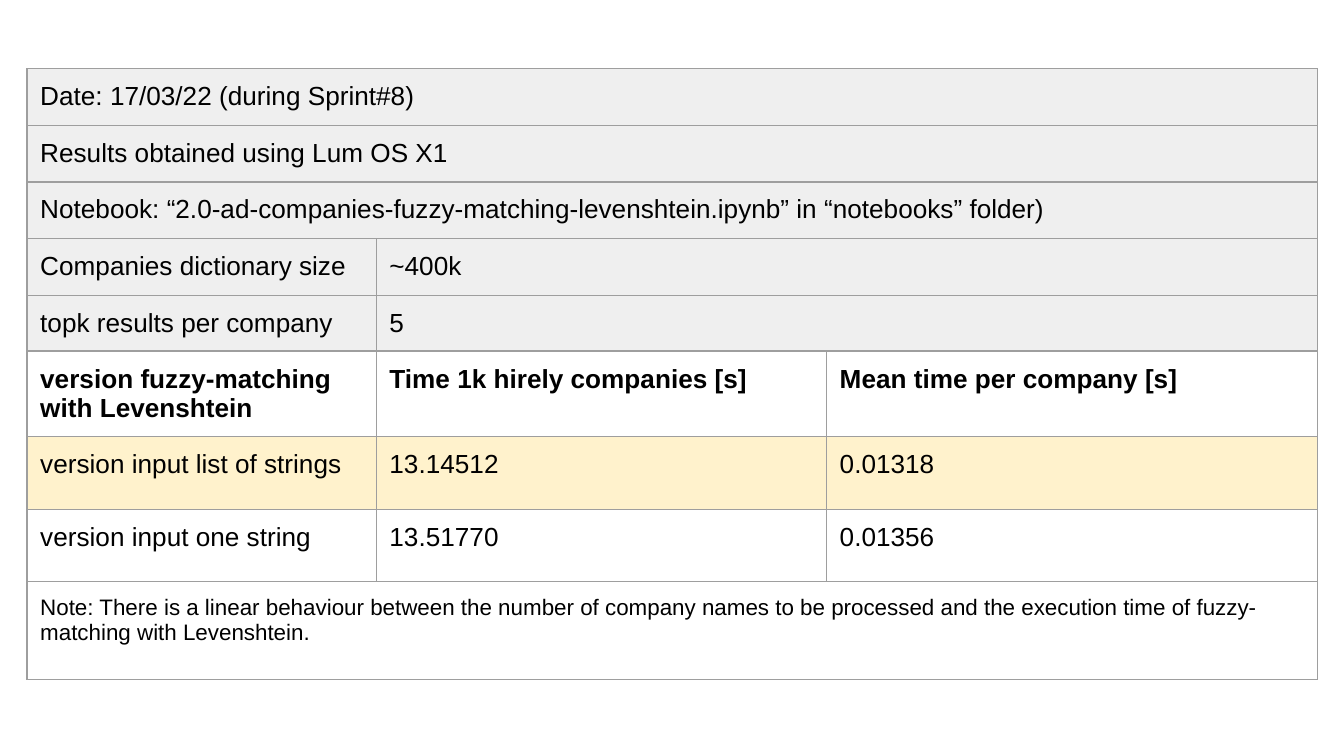
from lxml.etree import SubElement
from pptx import Presentation
from pptx.dml.color import RGBColor
from pptx.oxml.ns import qn
from pptx.util import Cm, Pt

GREY, CREAM, WHITE = "EFEFEF", "FFF2CC", None
COLUMN_WIDTHS = [6.6, 8.51, 3.18, 6.1]
ROWS = [
    (1.07, GREY, ["Date: 17/03/22 (during Sprint#8)"]),
    (1.07, GREY, ["Results obtained using Lum OS X1"]),
    (1.07, GREY, ["Notebook: “2.0-ad-companies-fuzzy-matching-levenshtein.ipynb” in “notebooks” folder)"]),
    (1.07, GREY, ["Companies dictionary size", "~400k"]),
    (1.04, GREY, ["topk results per company", "5"]),
    (1.62, WHITE, ["version fuzzy-matching with Levenshtein",
                   "Time 1k hirely companies [s]", "Mean time per company [s]"]),
    (1.37, CREAM, ["version input list of strings", "13.14512", "0.01318"]),
    (1.37, WHITE, ["version input one string", "13.51770", "0.01356"]),
    (1.85, WHITE, ["Note: There is a linear behaviour between the number of company names "
                   "to be processed and the execution time of fuzzy-matching with Levenshtein."]),
]
HEADER_ROW = 5
NOTE_ROW = len(ROWS) - 1


def color(value):
    return RGBColor.from_string(value)


def add_borders(cell):
    properties = cell._tc.get_or_add_tcPr()
    for side in ("a:lnL", "a:lnR", "a:lnT", "a:lnB"):
        line = SubElement(properties, qn(side), w=str(Pt(0.75)))
        fill = SubElement(line, qn("a:solidFill"))
        SubElement(fill, qn("a:srgbClr"), val="9E9E9E")


def style_cell(cell, fill):
    add_borders(cell)
    cell.margin_left = cell.margin_right = Cm(0.25)
    cell.margin_top = cell.margin_bottom = Cm(0.25)
    if fill:
        cell.fill.solid()
        cell.fill.fore_color.rgb = color(fill)
    else:
        cell.fill.background()


def write_cell(cell, text, size, bold):
    cell.text_frame.text = text
    font = cell.text_frame.paragraphs[0].runs[0].font
    font.name = "Arial"
    font.size = Pt(size)
    font.bold = bold
    font.color.rgb = color("000000")


def add_results_table(page, left, top, width, height):
    last = len(COLUMN_WIDTHS) - 1
    table = page.shapes.add_table(len(ROWS), last + 1, left, top, width, height).table
    table.first_row = False
    table.horz_banding = False
    for column, column_width in zip(table.columns, COLUMN_WIDTHS):
        column.width = Cm(column_width)
    for index, (row_height, fill, texts) in enumerate(ROWS):
        table.rows[index].height = Cm(row_height)
        for cell in table.rows[index].cells:
            style_cell(cell, fill)
        size = 12 if index == NOTE_ROW else 14
        for position, text in enumerate(texts):
            write_cell(table.cell(index, position), text, size, index == HEADER_ROW)
        table.cell(index, len(texts) - 1).merge(table.cell(index, last))


def main():
    deck = Presentation()
    deck.slide_width, deck.slide_height = Cm(25.4), Cm(14.29)
    page = deck.slides.add_slide(deck.slide_layouts[6])
    add_results_table(page, Cm(0.51), Cm(1.3), Cm(sum(COLUMN_WIDTHS)),
                      Cm(sum(row[0] for row in ROWS)))
    deck.save("out.pptx")


if __name__ == "__main__":
    main()
